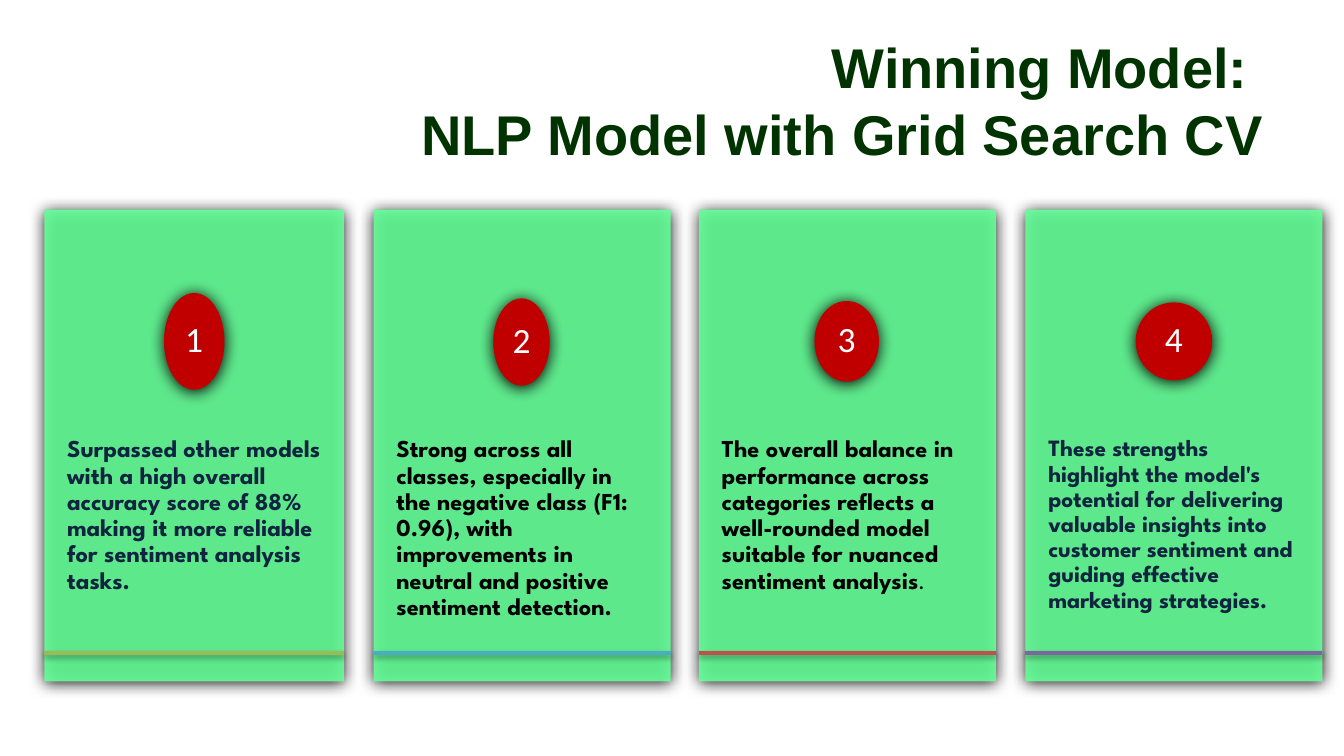
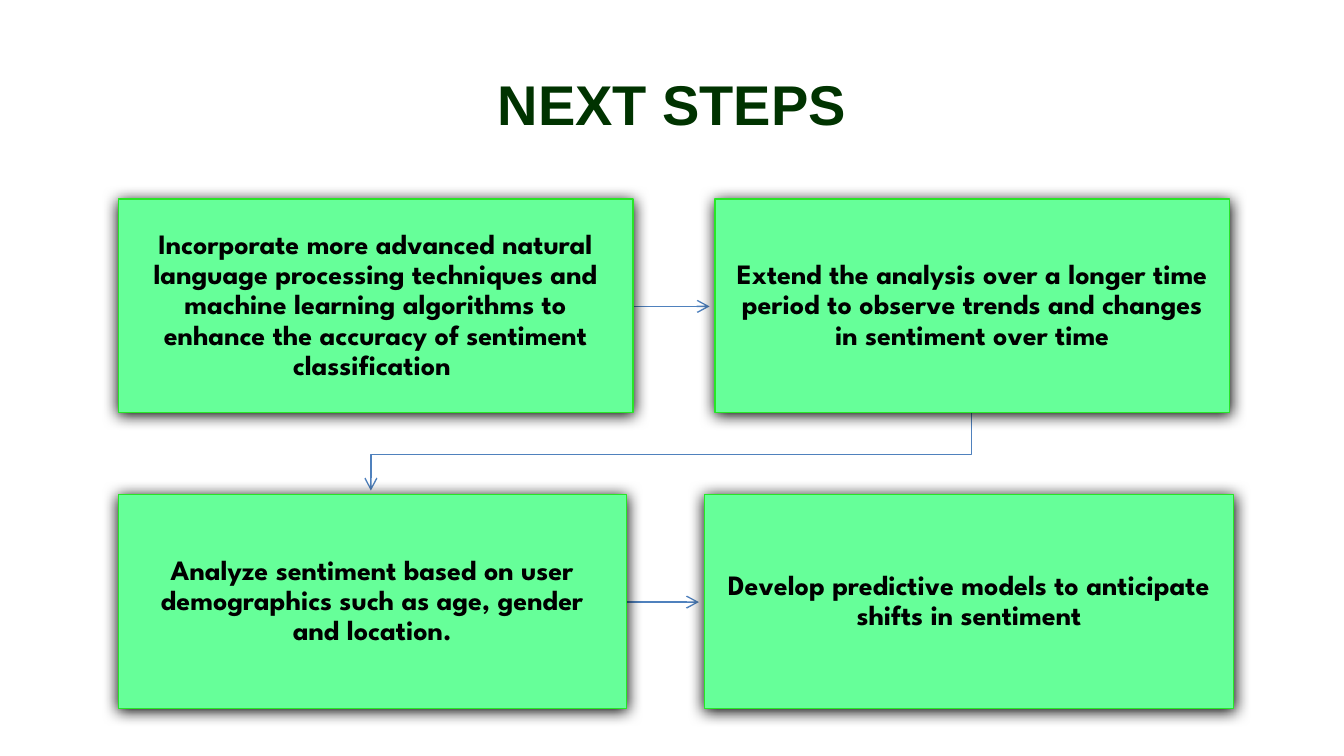
from lxml.etree import SubElement
from pptx import Presentation
from pptx.dml.color import RGBColor
from pptx.enum.shapes import MSO_CONNECTOR, MSO_SHAPE
from pptx.enum.text import MSO_ANCHOR, PP_ALIGN
from pptx.oxml.ns import qn
from pptx.util import Pt

PX = 9144  # 100 px to the inch
GREEN, TITLE, BLACK, NAVY = "66FF99", "003300", "000000", "0F243E"
RED, WHITE, EDGE, BLUE = "C00000", "FFFFFF", "27E527", "4F81BD"
DEEP = (100, 8.5, 1)  # shadow: opacity %, blur pt, distance pt
SOFT = (38, 3.1, 1.6)


def write(shape, text, end="", font="League Spartan", size=13, color=BLACK, bold=True,
          align=PP_ALIGN.CENTER, anchor=MSO_ANCHOR.MIDDLE, pad=(10, 5), space=0.9):
    frame = shape.text_frame
    frame.word_wrap = True
    frame.vertical_anchor = anchor
    frame.margin_left = frame.margin_right = pad[0] * PX
    frame.margin_top = frame.margin_bottom = pad[1] * PX
    para = frame.paragraphs[0]
    para.text = text
    para.alignment = align
    para.line_spacing = space
    if end:
        para.add_run().text = end
    for run in para.runs:
        run.font.name, run.font.size, run.font.bold = font, Pt(size), bold
        run.font.color.rgb = RGBColor.from_string(color)
    if end:
        run.font.name, run.font.bold = "Calibri", False


def paint(shape, fill=None, alpha=100, line=None, width=0.75, shadow=None, head=False):
    props = shape.element.spPr
    if fill:
        shape.fill.solid()
        shape.fill.fore_color.rgb = RGBColor.from_string(fill)
        if alpha < 100:
            tone = props.find(qn("a:solidFill"))[0]
            SubElement(tone, qn("a:alpha"), val=str(alpha * 1000))
    if line:
        shape.line.color.rgb = RGBColor.from_string(line)
        shape.line.width = Pt(width)
    else:
        shape.line.fill.background()
    if head:
        SubElement(props.find(qn("a:ln")), qn("a:tailEnd"), type="arrow")
    effects = SubElement(props, qn("a:effectLst"))
    if shadow:
        shade, blur, dist = shadow
        outer = SubElement(effects, qn("a:outerShdw"), blurRad=str(Pt(blur)),
                           dist=str(Pt(dist)), dir="5400000", rotWithShape="0")
        tone = SubElement(outer, qn("a:srgbClr"), val=BLACK)
        SubElement(tone, qn("a:alpha"), val=str(shade * 1000))


deck = Presentation()
deck.slide_width = 1000 * PX
deck.slide_height = deck.slide_width * 9 // 16
blank = deck.slide_layouts[6]

# Titles
heads = [
    ("Winning Model: \vNLP Model with Grid Search CV", PP_ALIGN.RIGHT, (66, 24, 884, 100)),
    ("NEXT STEPS", PP_ALIGN.CENTER, (50, 35, 900, 84)),
]
for text, align, area in heads:
    slide = deck.slides.add_slide(blank)
    box = slide.shapes.add_textbox(*[n * PX for n in area])
    write(box, text, font="Arial", size=30, color=TITLE, align=align, space=1)
model, steps = [slide.shapes for slide in deck.slides]

# Cards: left, width, badge size, bar colour, text colour, text size, text, end
cards = [
    (33, 223, (45, 72), "9BBB59", NAVY, 13,
     "Surpassed other models with a high overall accuracy score of 88% "
     "making it more reliable for sentiment analysis tasks.", ""),
    (278, 221, (42, 65), "4BACC6", BLACK, 13,
     "Strong across all classes, especially in the negative class (F1: 0.96), "
     "with improvements in neutral and positive sentiment detection.", ""),
    (520, 221, (48, 60), "C0504D", BLACK, 13,
     "The overall balance in performance across categories reflects a "
     "well-rounded model suitable for nuanced sentiment analysis", "."),
    (763, 221, (57, 58), "8064A2", NAVY, 12.5,
     "These strengths highlight the model's potential for delivering valuable "
     "insights into customer sentiment and guiding effective marketing strategies.", ""),
]
for num, (left, wide, (w, h), hue, ink, size, text, end) in enumerate(cards, 1):
    card = model.add_shape(MSO_SHAPE.RECTANGLE, left * PX, 156 * PX, wide * PX, 351 * PX)
    paint(card, fill=GREEN, alpha=90, shadow=DEEP)
    note = model.add_textbox(left * PX, 289 * PX, wide * PX, 211 * PX)
    write(note, text, end=end, size=size, color=ink, align=PP_ALIGN.LEFT,
          anchor=MSO_ANCHOR.TOP, pad=(17, 36))
    badge = model.add_shape(MSO_SHAPE.OVAL, (left + (wide - w) // 2) * PX,
                            (254 - h // 2) * PX, w * PX, h * PX)
    paint(badge, fill=RED, shadow=DEEP)
    write(badge, str(num), font="Calibri", size=19, color=WHITE, bold=False, pad=(2, 1))
    bar = model.add_connector(MSO_CONNECTOR.STRAIGHT, left * PX, 486 * PX,
                              (left + wide) * PX, 486 * PX)
    paint(bar, line=hue, width=2, shadow=SOFT)

# Arrows between the steps
for start, stop, y in [(470, 528, 228), (465, 520, 448)]:
    arrow = steps.add_connector(MSO_CONNECTOR.STRAIGHT, start * PX, y * PX, stop * PX, y * PX)
    paint(arrow, line=BLUE, head=True)
bend = steps.build_freeform(723, 307, scale=PX)
bend.add_line_segments([(723, 338), (276, 338), (276, 365)], close=False)
elbow = bend.convert_to_shape()
elbow.fill.background()
paint(elbow, line=BLUE, head=True)

# Steps: left, top, width, text
tasks = [
    (88, 148, 383, "Incorporate more advanced natural language processing techniques and "
     "machine learning algorithms to enhance the accuracy of sentiment classification "),
    (532, 148, 383, "Extend the analysis over a longer time period to observe trends "
     "and changes in sentiment over time"),
    (88, 368, 378, "Analyze sentiment based on user demographics such as age, "
     "gender and location."),
    (524, 368, 394, "Develop predictive models to anticipate shifts in sentiment"),
]
for left, top, wide, text in tasks:
    step = steps.add_shape(MSO_SHAPE.RECTANGLE, left * PX, top * PX, wide * PX, 159 * PX)
    paint(step, fill=GREEN, line=EDGE, shadow=DEEP)
    write(step, text, size=15, pad=(13, 14))

deck.save("out.pptx")
